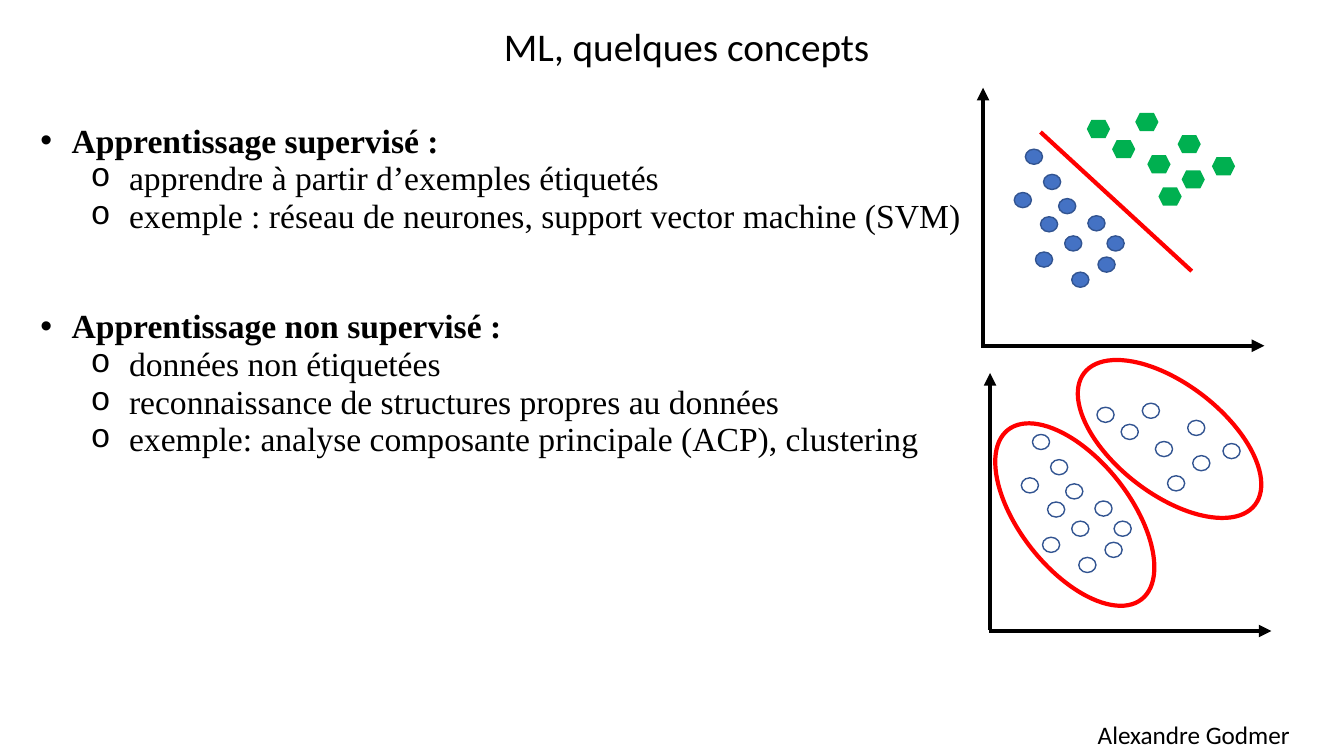
from lxml import etree
from pptx import Presentation
from pptx.dml.color import RGBColor
from pptx.enum.shapes import MSO_CONNECTOR, MSO_SHAPE
from pptx.enum.text import MSO_ANCHOR, PP_ALIGN
from pptx.oxml.ns import qn
from pptx.util import Inches, Pt

COLORS = {"text": "000000", "axis": "000000", "dot": "4472C4",
          "dot_line": "325491", "hexagon": "00B050", "accent": "FF0000"}

prs = Presentation()
prs.slide_width, prs.slide_height = Inches(13.33), Inches(7.5)
s = prs.slides.add_slide(prs.slide_layouts[6])


def add_text(tf, text, size=24, font="Times New Roman", bold=False, align=None,
             spacing=None, before=0, bullet=None, bullet_font="Arial", margin=0, hanging=0):
    first = not tf.paragraphs[0].runs
    p = tf.paragraphs[0] if first else tf.add_paragraph()
    p.alignment, p.line_spacing = align, spacing
    p.space_before = Pt(0 if first else before)
    if bullet:
        pPr = p._p.get_or_add_pPr()
        pPr.set("marL", str(Inches(margin)))
        pPr.set("indent", str(-Inches(hanging)))
        etree.SubElement(pPr, qn("a:buFont")).set("typeface", bullet_font)
        etree.SubElement(pPr, qn("a:buChar")).set("char", bullet)
    r = p.add_run()
    r.text = text
    r.font.size, r.font.name, r.font.bold = Pt(size), font, bold
    r.font.color.rgb = RGBColor.from_string(COLORS["text"])


def add_mark(group, kind, x, y, w, h, fill=None, line=None, width=1, rotation=0):
    sp = group.shapes.add_shape(kind, Inches(x), Inches(y), Inches(w), Inches(h))
    sp.shadow.inherit = False
    sp.rotation = rotation
    if fill:
        sp.fill.solid()
        sp.fill.fore_color.rgb = RGBColor.from_string(COLORS[fill])
    else:
        sp.fill.background()
    if line:
        sp.line.color.rgb = RGBColor.from_string(COLORS[line])
        sp.line.width = Pt(width)
    else:
        sp.line.fill.background()


# Text boxes: title, body, author
frames = []
for x, y, w, h, inset, anchor in [
    (0.6, 0.14, 12.42, 0.84, 0.13, MSO_ANCHOR.TOP),
    (0.27, 1.1, 12.42, 5.21, 0.13, MSO_ANCHOR.TOP),
    (10.55, 7.19, 2.58, 0.2, 0, MSO_ANCHOR.MIDDLE),
]:
    tf = s.shapes.add_textbox(Inches(x), Inches(y), Inches(w), Inches(h)).text_frame
    tf.word_wrap, tf.vertical_anchor = True, anchor
    tf.margin_left = tf.margin_right = tf.margin_top = tf.margin_bottom = Inches(inset)
    frames.append(tf)
title, body, author = frames

add_text(title, "ML, quelques concepts", size=28, font="Calibri",
         align=PP_ALIGN.CENTER, spacing=0.9)
add_text(author, "Alexandre Godmer", size=18, font="Calibri", align=PP_ALIGN.CENTER)

# Body: each heading with its points
sections = {
    "Apprentissage supervisé :": [
        "apprendre à partir d’exemples étiquetés",
        "exemple : réseau de neurones, support vector machine (SVM)"],
    "Apprentissage non supervisé :": [
        "données non étiquetées",
        "reconnaissance de structures propres au données",
        "exemple: analyse composante principale (ACP), clustering"],
}
for heading, points in sections.items():
    add_text(body, heading, bold=True, spacing=0.9, before=53,
             bullet="•", margin=0.31, hanging=0.31)
    for point in points:
        add_text(body, point, spacing=0.9, before=1, bullet="o",
                 bullet_font="Courier New", margin=0.88, hanging=0.38)

# Points of the two plots
dots = [(10.35, 1.73), (10.17, 1.48), (10.06, 1.91), (10.5, 1.97), (10.56, 2.34), (10.89, 2.55),
        (10.27, 2.5), (10.63, 2.7), (10.98, 2.34), (10.79, 2.14), (10.32, 2.15)]
hexagons = [(10.78, 1.19), (11.03, 1.39), (11.26, 1.12), (11.38, 1.54),
            (11.68, 1.34), (11.72, 1.69), (12.02, 1.56), (11.49, 1.86)]
right_cluster = [(11.58, 4.72), (11.83, 4.52), (12.13, 4.4), (11.78, 4.17),
                 (11.46, 4.38), (11.12, 4.21), (10.88, 4.04), (11.33, 4)]
left_cluster = [(x + 0.07, y + 2.83) for x, y in dots]

supervised = s.shapes.add_group_shape()
unsupervised = s.shapes.add_group_shape()

# Axes and separating line
for group, x1, y1, x2, y2, color, arrow in [
    (supervised, 9.75, 3.42, 9.75, 0.87, "axis", True),
    (supervised, 9.73, 3.43, 12.54, 3.43, "axis", True),
    (supervised, 10.32, 1.31, 11.82, 2.69, "accent", False),
    (unsupervised, 9.82, 6.25, 9.82, 3.7, "axis", True),
    (unsupervised, 9.81, 6.26, 12.61, 6.26, "axis", True),
]:
    line = group.shapes.add_connector(MSO_CONNECTOR.STRAIGHT, Inches(x1), Inches(y1),
                                      Inches(x2), Inches(y2))
    line.line.color.rgb = RGBColor.from_string(COLORS[color])
    line.line.width = Pt(3)
    if arrow:
        etree.SubElement(line.line._get_or_add_ln(), qn("a:tailEnd")).set("type", "triangle")
    etree.SubElement(line._element.spPr, qn("a:effectLst"))

# Labelled points
for x, y in dots:
    add_mark(supervised, MSO_SHAPE.OVAL, x, y, 0.17, 0.15, fill="dot", line="dot_line")
for x, y in hexagons:
    add_mark(supervised, MSO_SHAPE.HEXAGON, x, y, 0.23, 0.18, fill="hexagon")

# Unlabelled points and their clusters
for x, y in left_cluster + right_cluster:
    add_mark(unsupervised, MSO_SHAPE.OVAL, x, y, 0.17, 0.15, line="dot_line")
for x, y, angle in [(9.59, 4.56, 51.7), (10.53, 3.81, 37.7)]:
    add_mark(unsupervised, MSO_SHAPE.OVAL, x, y, 2.14, 1.09, line="accent",
             width=3, rotation=angle)

prs.save("out.pptx")
